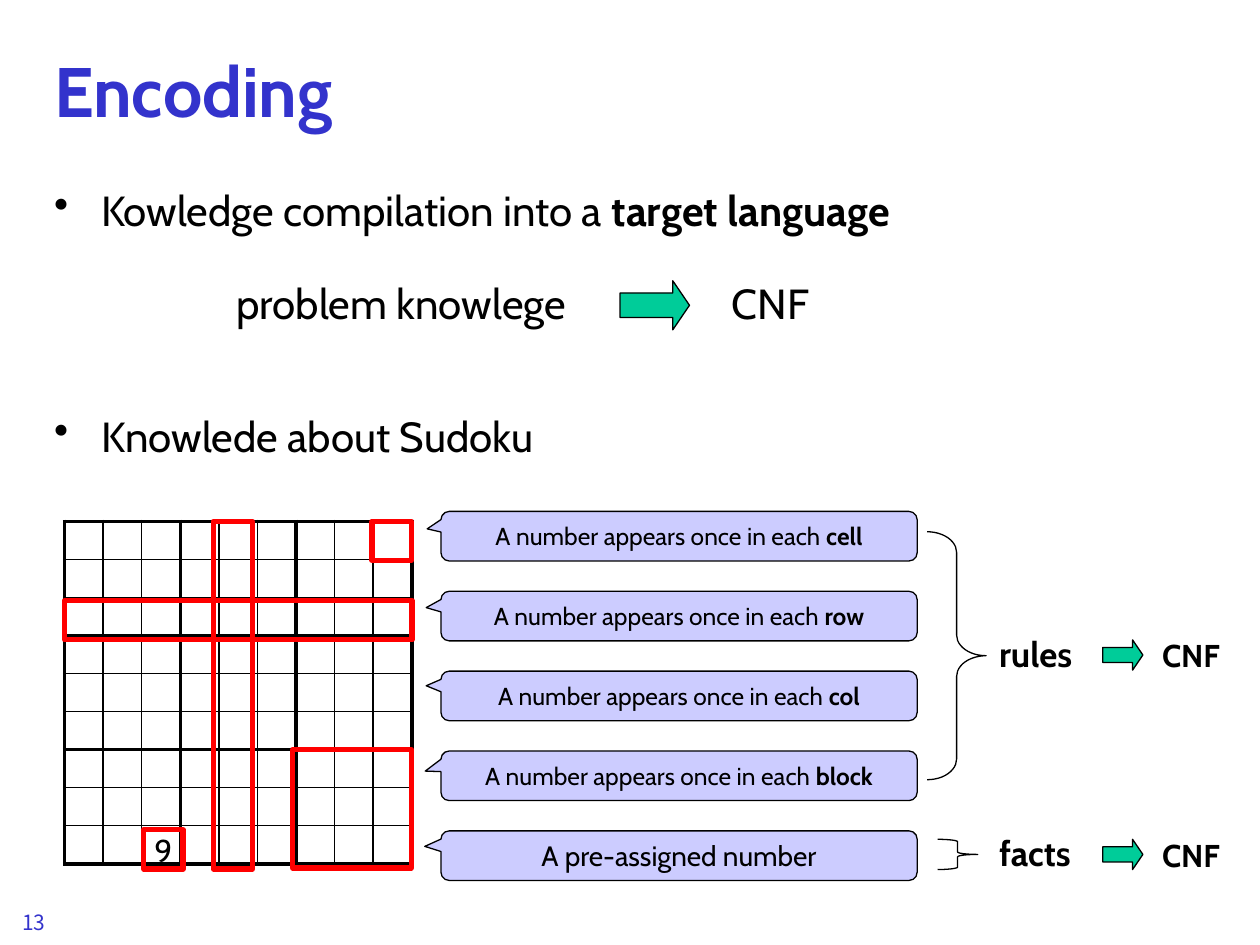
from lxml import etree
from pptx import Presentation
from pptx.dml.color import RGBColor
from pptx.enum import shapes, text
from pptx.oxml.ns import qn
from pptx.util import Cm, Pt

FONT = "Cabin"
BLACK, BLUE, RED = "000000", "3333CC", "FF0000"
GREEN, LAVENDER, WHITE = "00CC99", "CCCCFF", "FFFFFF"
SHAPE = shapes.MSO_SHAPE
CENTER, LEFT = text.PP_ALIGN.CENTER, text.PP_ALIGN.LEFT
MIDDLE, TOP = text.MSO_ANCHOR.MIDDLE, text.MSO_ANCHOR.TOP


def color(hex_value):
    return RGBColor.from_string(hex_value)


def style(run, size, hue=BLACK, bold=False, font=FONT):
    run.font.size, run.font.bold, run.font.name = Pt(size), bold, font
    run.font.color.rgb = color(hue)


def write(paragraph, plain, strong, size, align=LEFT):
    """Plain words followed by bold words."""
    paragraph.alignment = align
    for words, bold in ((plain, False), (strong, True)):
        if words:
            run = paragraph.add_run()
            run.text = words
            style(run, size, bold=bold)


def add_label(slide, box, words, size, hue=BLACK, bold=False, align=LEFT,
              anchor=TOP, font=FONT, wrap=True):
    label = slide.shapes.add_textbox(*map(Cm, box)).text_frame
    label.word_wrap, label.vertical_anchor = wrap, anchor
    label.text = words
    label.paragraphs[0].alignment = align
    style(label.paragraphs[0].runs[0], size, hue, bold, font)


def add_figure(slide, kind, box, fill=None, line=BLACK, width=0.75, adjust=()):
    figure = slide.shapes.add_shape(kind, *map(Cm, box))
    figure.shadow.inherit = False
    if fill:
        figure.fill.solid()
        figure.fill.fore_color.rgb = color(fill)
    else:
        figure.fill.background()
    figure.line.color.rgb = color(line)
    figure.line.width = Pt(width)
    for index, value in enumerate(adjust):
        figure.adjustments[index] = value
    figure.text_frame.vertical_anchor = MIDDLE
    return figure


def add_arrow(slide, box):
    add_figure(slide, SHAPE.RIGHT_ARROW, box, GREEN, adjust=(0.5, 0.34))


def add_bullets(slide, box):
    frame = slide.shapes.add_textbox(*map(Cm, box)).text_frame
    frame.word_wrap = True
    items = (("Kowledge compilation into a ", "target language", 0),
             ("Knowlede about Sudoku", "", 100))
    for index, (plain, strong, gap) in enumerate(items):
        item = frame.add_paragraph() if index else frame.paragraphs[0]
        props = item._p.get_or_add_pPr()
        props.set("marL", str(Cm(0.95)))
        props.set("indent", str(Cm(-0.95)))
        etree.SubElement(props, qn("a:buChar")).set("char", "•")
        if gap:
            item.space_before = Pt(gap)
        write(item, plain, strong, 24)


def add_compilation(slide, left, top):
    """problem knowledge -> CNF"""
    add_label(slide, (left, top, 8, 1.27), "problem knowlege", 24, align=CENTER)
    add_arrow(slide, (left + 8.41, top + 0.2, 1.4, 0.99))
    add_label(slide, (left + 10.41, top, 2.59, 1.27), "CNF", 24)


def set_borders(cell, row, column):
    """Thick lines around each 3 by 3 block, thin lines inside."""
    thick = {"lnL": column % 3 == 0, "lnR": column % 3 == 2,
             "lnT": row % 3 == 0, "lnB": row % 3 == 2}
    props = cell._tc.get_or_add_tcPr()
    for index, (side, is_thick) in enumerate(thick.items()):
        line = etree.Element(qn("a:" + side), w=str(Pt(2.25 if is_thick else 1)))
        fill = etree.SubElement(line, qn("a:solidFill"))
        etree.SubElement(fill, qn("a:srgbClr"), val=BLACK)
        props.insert(index, line)


def add_sudoku(slide, left, top, width, height):
    grid = slide.shapes.add_table(9, 9, *map(Cm, (left, top, width, height))).table
    grid.first_row = grid.horz_banding = False
    for row in range(9):
        grid.rows[row].height = Cm(height / 9)
        grid.columns[row].width = Cm(width / 9)
        for column in range(9):
            cell = grid.cell(row, column)
            cell.margin_left = cell.margin_right = 0
            cell.margin_top = cell.margin_bottom = 0
            cell.fill.solid()
            cell.fill.fore_color.rgb = color(WHITE)
            set_borders(cell, row, column)

    # Highlighted cell, row, column, block and given number
    unit = 0.79
    highlights = ((6.2, 0, unit, unit), (0, 1.6, width, unit),
                  (3, 0, unit, width), (4.6, 4.6, 2.39, 2.39),
                  (1.6, 6.22, unit, unit))
    for x, y, w, h in highlights:
        mark = add_figure(slide, SHAPE.RECTANGLE, (left + x, top + y, w, h),
                          line=RED, width=3)
    mark.text_frame.word_wrap = False
    write(mark.text_frame.paragraphs[0], "9", "", 18, CENTER)


def add_callouts(slide, left, top, width, height, pitch):
    once = "A number appears once in each "
    callouts = ((once, "cell", 14, -0.529, -0.148),
                (once, "row", 14, -0.531, -0.17),
                (once, "col", 14, -0.531, -0.205),
                (once, "block", 14, -0.533, -0.095),
                ("A pre-assigned number", "", 16, -0.534, -0.187))
    for index, (plain, strong, size, tip_x, tip_y) in enumerate(callouts):
        callout = add_figure(slide, SHAPE.ROUNDED_RECTANGULAR_CALLOUT,
                             (left, top + index * pitch, width, height),
                             LAVENDER, adjust=(tip_x, tip_y, 0.167))
        callout.text_frame.word_wrap = True
        write(callout.text_frame.paragraphs[0], plain, strong, size, CENTER)


def add_outcome(slide, left, top, words, brace, curve):
    """Brace, its label, and the arrow to CNF."""
    add_figure(slide, SHAPE.RIGHT_BRACE, brace, adjust=(curve, 0.5))
    add_label(slide, (left, top, 2.39, 1.09), words, 20, bold=True)
    add_arrow(slide, (left + 2.34, top + 0.28, 0.81, 0.61))
    add_label(slide, (left + 3.22, top + 0.08, 1.8, 1.02), "CNF", 18,
              bold=True, align=CENTER, wrap=False)


def main():
    deck = Presentation()
    deck.slide_width, deck.slide_height = Cm(25.4), Cm(19.05)
    slide = deck.slides.add_slide(deck.slide_layouts[6])

    # Heading, bullets and page number
    add_label(slide, (0.84, 0.43, 24.13, 2.74), "Encoding", 40, BLUE, True,
              anchor=MIDDLE)
    add_bullets(slide, (0.84, 3.6, 24.13, 14.17))
    add_label(slide, (0.2, 18.21, 5.28, 0.84), "13", 12, BLUE,
              font="Noto Sans CJK KR")

    add_compilation(slide, 4.09, 5.46)

    # Sudoku knowledge
    add_sudoku(slide, 1.3, 10.51, 7.01, 6.91)
    add_callouts(slide, 8.89, 10.31, 9.6, 1, 1.61)
    add_outcome(slide, 19.89, 12.62, "rules", (18.69, 10.72, 1.19, 5), 0.35)
    add_outcome(slide, 19.89, 16.64, "facts", (18.9, 16.92, 0.81, 0.61), 0.08)

    deck.save("out.pptx")


if __name__ == "__main__":
    main()
